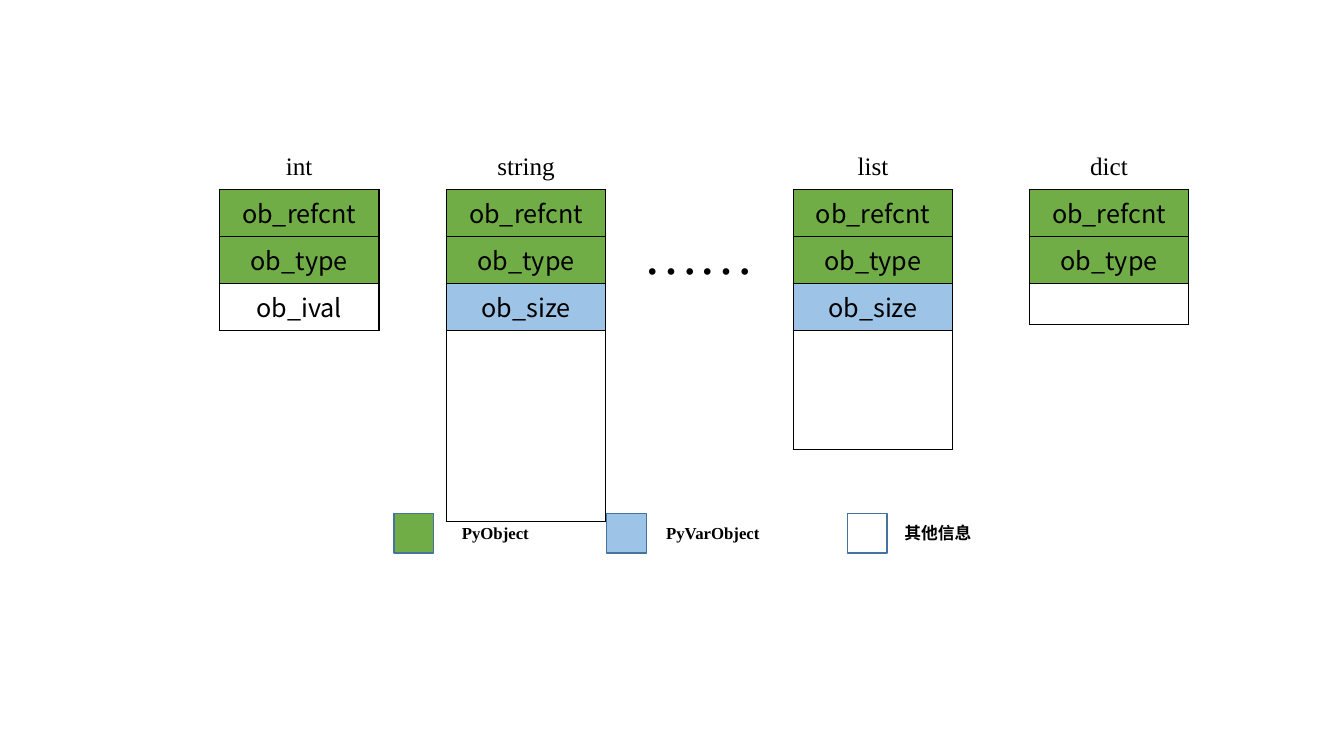
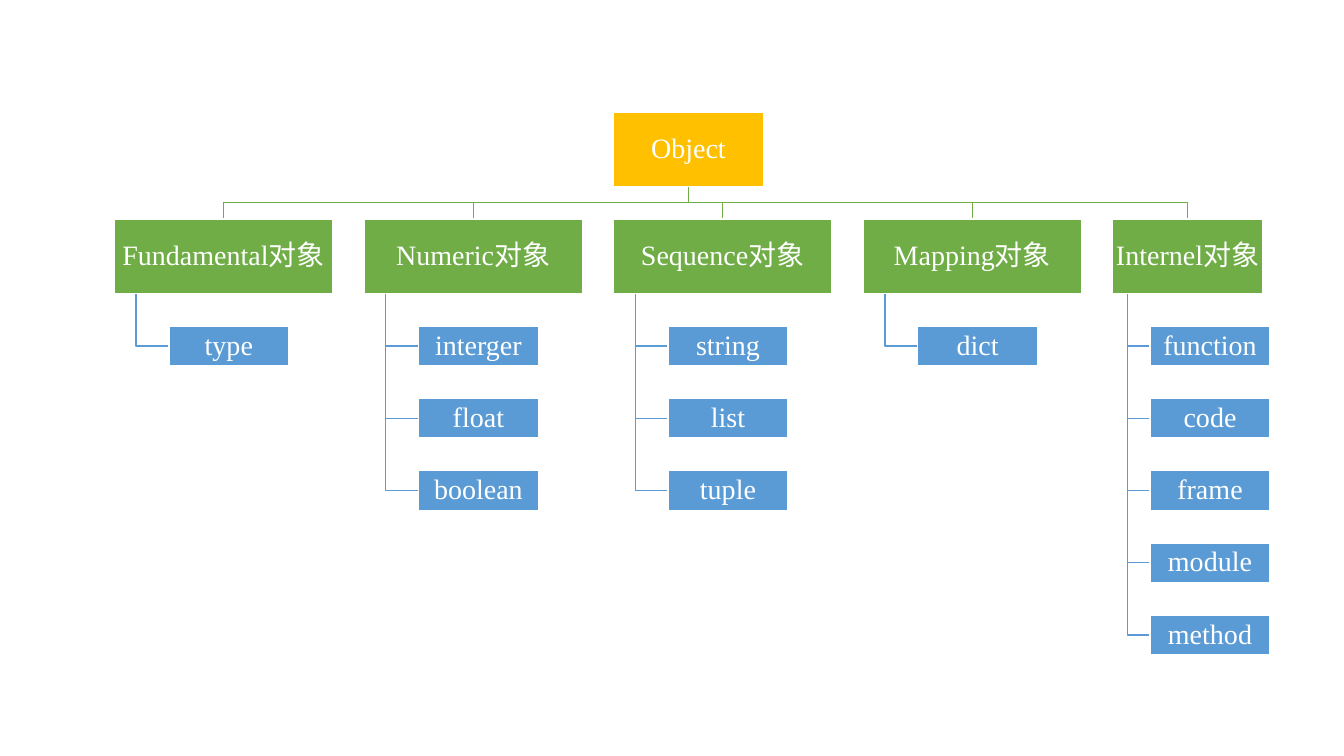
from dataclasses import dataclass

from lxml import etree
from pptx import Presentation
from pptx.dml.color import RGBColor
from pptx.enum.shapes import MSO_SHAPE
from pptx.enum.text import MSO_ANCHOR, PP_ALIGN
from pptx.oxml.ns import qn
from pptx.util import Cm, Pt

RECTANGLE = MSO_SHAPE.RECTANGLE
CENTER = PP_ALIGN.CENTER
TOP, MIDDLE = MSO_ANCHOR.TOP, MSO_ANCHOR.MIDDLE


@dataclass(frozen=True)
class Theme:
    """Colours, fonts and type sizes of the deck."""
    black: str = "000000"
    white: str = "FFFFFF"
    green: str = "70AD47"
    pale_blue: str = "9DC3E6"
    blue: str = "5B9BD5"
    dark_blue: str = "43739E"
    gold: str = "FFC000"
    serif: str = "Times New Roman"
    sans: str = "Noto Sans CJK SC"
    legend: int = 12
    body: int = 18
    node: int = 20
    dots: int = 40
    line: int = 1


THEME = Theme()


def write(frame, text, *, size=THEME.body, color=THEME.black, font=THEME.serif,
          bold=False, anchor=TOP, spacing=1.0, inset=None):
    """Put one centred paragraph of formatted text into a frame."""
    frame.word_wrap = True
    frame.vertical_anchor = anchor
    if inset is not None:
        frame.margin_left = frame.margin_right = Cm(inset)
        frame.margin_top = frame.margin_bottom = Cm(inset)
    para = frame.paragraphs[0]
    para.alignment = CENTER
    para.line_spacing = spacing
    span = para.add_run()
    span.text = text
    span.font.size = Pt(size)
    span.font.bold = bold
    span.font.name = font
    span.font.color.rgb = RGBColor.from_string(color)
    east_asian = etree.SubElement(span.font._element, qn("a:ea"))
    east_asian.set("typeface", THEME.sans)


def add_borders(cell):
    """Draw a thin line on all four sides of a table cell."""
    properties = cell._tc.get_or_add_tcPr()
    for index, side in enumerate(("a:lnL", "a:lnR", "a:lnT", "a:lnB")):
        line = etree.Element(qn(side), w=str(Pt(THEME.line)))
        fill = etree.SubElement(line, qn("a:solidFill"))
        etree.SubElement(fill, qn("a:srgbClr"), val=THEME.black)
        properties.insert(index, line)


class Deck:
    """A presentation with its current page and one method per element."""

    def __init__(self):
        """Start an empty widescreen presentation."""
        self.presentation = Presentation()
        self.presentation.slide_width = Cm(33.87)
        self.presentation.slide_height = Cm(19.05)
        self.page = None

    def new_page(self):
        """Add a blank page and make it current."""
        layout = self.presentation.slide_layouts[6]
        self.page = self.presentation.slides.add_slide(layout)

    def label(self, left, top, width, height, text, **style):
        """Add a plain text box."""
        box = self.page.shapes.add_textbox(Cm(left), Cm(top), Cm(width), Cm(height))
        write(box.text_frame, text, **style)

    def rectangle(self, left, top, width, height, fill, line):
        """Add a filled and outlined rectangle and return it."""
        box = self.page.shapes.add_shape(
            RECTANGLE, Cm(left), Cm(top), Cm(width), Cm(height))
        box.shadow.inherit = False
        box.fill.solid()
        box.fill.fore_color.rgb = RGBColor.from_string(fill)
        box.line.color.rgb = RGBColor.from_string(line)
        box.line.width = Pt(THEME.line)
        return box

    def node(self, left, top, width, height, text, fill):
        """Add a tree node with white text."""
        box = self.rectangle(left, top, width, height, fill, THEME.white)
        write(box.text_frame, text, size=THEME.node, color=THEME.white,
              anchor=MIDDLE, spacing=0.9, inset=0.03)

    def elbow(self, points, color):
        """Add an open line with square corners through the points."""
        corners = [(Cm(x), Cm(y)) for x, y in points]
        builder = self.page.shapes.build_freeform(*corners[0])
        builder.add_line_segments(corners[1:], close=False)
        line = builder.convert_to_shape()
        line.shadow.inherit = False
        line.fill.background()
        line.line.color.rgb = RGBColor.from_string(color)
        line.line.width = Pt(THEME.line)

    def struct_table(self, left, top, width, rows):
        """Add a one-column table from rows of text, fill and height."""
        total = sum(height for _, _, height in rows)
        table = self.page.shapes.add_table(
            len(rows), 1, Cm(left), Cm(top), Cm(width), Cm(total)).table
        table.first_row = table.horz_banding = False
        for index, (text, fill, height) in enumerate(rows):
            table.rows[index].height = Cm(height)
            cell = table.cell(index, 0)
            cell.fill.solid()
            cell.fill.fore_color.rgb = RGBColor.from_string(fill)
            add_borders(cell)
            if text:
                write(cell.text_frame, text, font=THEME.sans)

    def save(self):
        """Save the presentation."""
        self.presentation.save("out.pptx")


def build_memory_page(deck):
    """Show the memory layout of four object types."""
    deck.new_page()
    top, width, row, heading_width = 4.78, 4.02, 1.18, 2.51
    header = [("ob_refcnt", THEME.green, row), ("ob_type", THEME.green, row)]
    size = ("ob_size", THEME.pale_blue, row)
    structs = [
        ("int", 5.53, [("ob_ival", THEME.white, row)]),
        ("string", 11.25, [size, ("", THEME.white, 4.83)]),
        ("list", 19.99, [size, ("", THEME.white, 3.0)]),
        ("dict", 25.94, [("", THEME.white, 1.03)]),
    ]
    for name, left, extra in structs:
        deck.struct_table(left, top, width, header + extra)
        deck.label(left + (width - heading_width) / 2, 3.66, heading_width, 1.02, name)
    deck.label(15.85, 5.38, 3.53, 1.96, "……", size=THEME.dots)

    legend = [
        ("PyObject", THEME.green, 9.93, 11.23, 2.51),
        ("PyVarObject", THEME.pale_blue, 15.29, 16.21, 3.51),
        ("其他信息", THEME.white, 21.36, 22.38, 2.51),
    ]
    for text, fill, swatch_left, text_left, text_width in legend:
        deck.rectangle(swatch_left, 12.94, 1, 1, fill, THEME.dark_blue)
        deck.label(text_left, 13.06, text_width, 0.76, text,
                   size=THEME.legend, bold=True)


def build_tree_page(deck):
    """Show the object categories as a tree."""
    deck.new_page()
    gap, height, wide, narrow = 0.82, 1.88, 5.51, 3.78
    leaf_width, leaf_height = 3.02, 1
    first_left, step = 2.88, 6.29
    root_left, root_top = first_left + 2 * step, 2.82
    root_center, root_bottom = root_left + narrow / 2, root_top + height
    branch_top = root_bottom + gap
    branch_bottom = branch_top + height
    bus = root_bottom + gap / 2
    branches = [
        ("Fundamental对象", wide, ["type"]),
        ("Numeric对象", wide, ["interger", "float", "boolean"]),
        ("Sequence对象", wide, ["string", "list", "tuple"]),
        ("Mapping对象", wide, ["dict"]),
        ("Internel对象", narrow, ["function", "code", "frame", "module", "method"]),
    ]
    for index, (name, width, leaves) in enumerate(branches):
        left = first_left + index * step
        center, trunk, leaf_left = left + width / 2, left + width / 10, left + width / 4
        deck.elbow([(root_center, root_bottom), (root_center, bus),
                    (center, bus), (center, branch_top)], THEME.green)
        for order, leaf in enumerate(leaves):
            leaf_top = branch_bottom + gap + order * (leaf_height + gap)
            middle = leaf_top + leaf_height / 2
            deck.elbow([(trunk, branch_bottom), (trunk, middle),
                        (leaf_left, middle)], THEME.blue)
            deck.node(leaf_left, leaf_top, leaf_width, leaf_height, leaf, THEME.blue)
        deck.node(left, branch_top, width, height, name, THEME.green)
    deck.node(root_left, root_top, narrow, height, "Object", THEME.gold)


def main():
    """Build and save the deck."""
    deck = Deck()
    build_memory_page(deck)
    build_tree_page(deck)
    deck.save()


if __name__ == "__main__":
    main()
